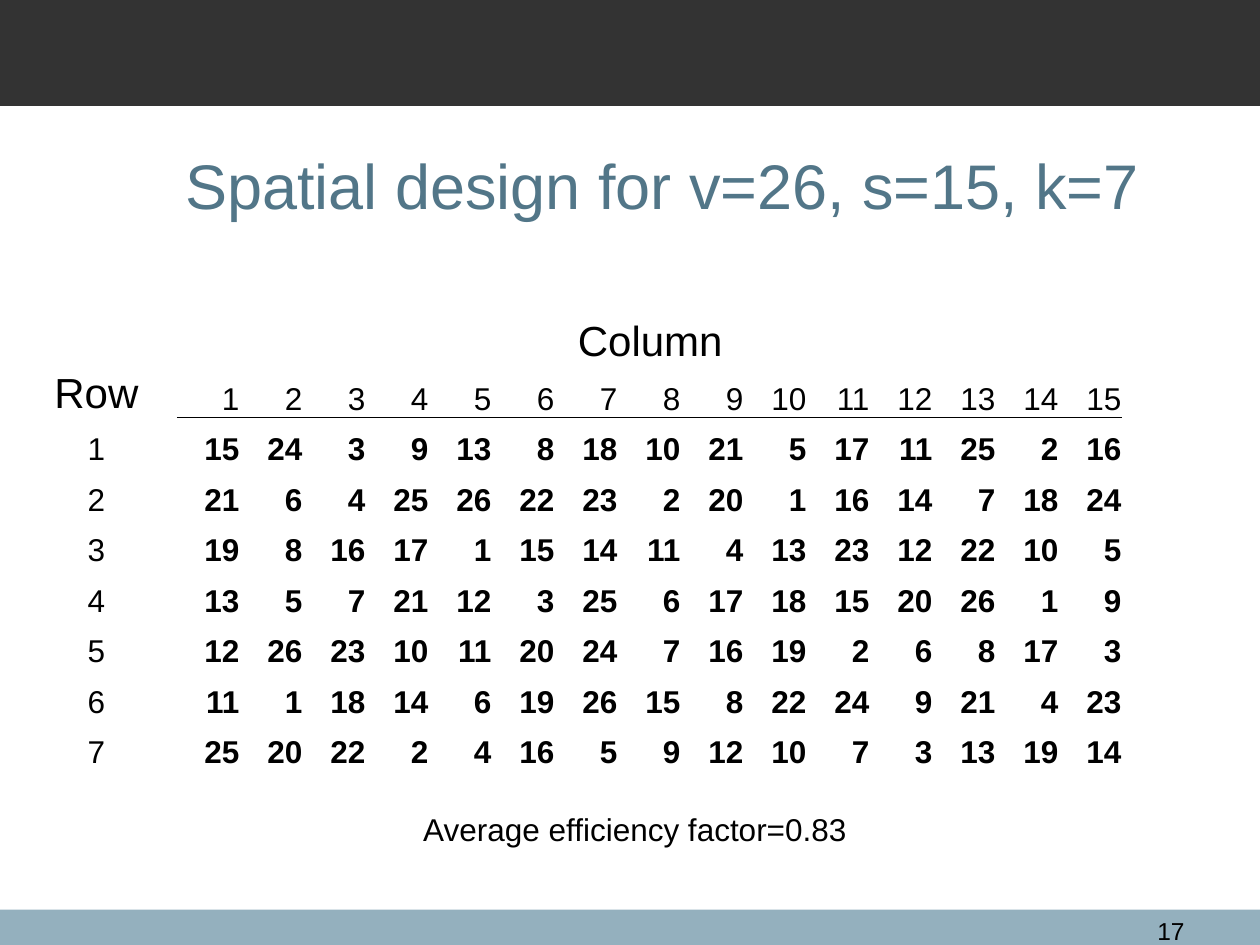
from dataclasses import dataclass

from lxml import etree
from pptx import Presentation
from pptx.dml.color import RGBColor
from pptx.enum.shapes import MSO_SHAPE
from pptx.enum.text import MSO_ANCHOR, PP_ALIGN
from pptx.oxml.ns import qn
from pptx.util import Inches, Pt

RECTANGLE = MSO_SHAPE.RECTANGLE
TOP, MIDDLE, BOTTOM = MSO_ANCHOR.TOP, MSO_ANCHOR.MIDDLE, MSO_ANCHOR.BOTTOM
LEFT, CENTER, RIGHT = PP_ALIGN.LEFT, PP_ALIGN.CENTER, PP_ALIGN.RIGHT

BLACK = RGBColor(0x00, 0x00, 0x00)
CHARCOAL = RGBColor(0x33, 0x33, 0x33)
MIST = RGBColor(0x94, 0xB0, 0xBE)
STEEL = RGBColor(0x52, 0x76, 0x88)

DESIGN = (
    (15, 24, 3, 9, 13, 8, 18, 10, 21, 5, 17, 11, 25, 2, 16),
    (21, 6, 4, 25, 26, 22, 23, 2, 20, 1, 16, 14, 7, 18, 24),
    (19, 8, 16, 17, 1, 15, 14, 11, 4, 13, 23, 12, 22, 10, 5),
    (13, 5, 7, 21, 12, 3, 25, 6, 17, 18, 15, 20, 26, 1, 9),
    (12, 26, 23, 10, 11, 20, 24, 7, 16, 19, 2, 6, 8, 17, 3),
    (11, 1, 18, 14, 6, 19, 26, 15, 8, 22, 24, 9, 21, 4, 23),
    (25, 20, 22, 2, 4, 16, 5, 9, 12, 10, 7, 3, 13, 19, 14),
)
COLUMN_COUNT = len(DESIGN[0])
COLUMN_WIDTHS = (1.29, *[0.5] * COLUMN_COUNT, 1.05)
ROW_HEIGHTS = (*[0.4] * (len(DESIGN) + 2), 0.44)
CELL_FORMAT = {
    "vertical_anchor": BOTTOM,
    "margin_left": Inches(0.01),
    "margin_right": Inches(0.01),
    "margin_top": Inches(0.01),
    "margin_bottom": Inches(0),
}


@dataclass(frozen=True)
class Band:
    top: float
    height: float
    color: RGBColor


@dataclass(frozen=True)
class Label:
    text: str
    left: float
    top: float
    width: float
    height: float
    size: int
    color: RGBColor = BLACK
    align: PP_ALIGN = LEFT
    anchor: MSO_ANCHOR = TOP
    inset: float = 0.1
    wrap: bool = True


BANDS = (Band(7.22, 0.28, MIST), Band(0, 0.84, CHARCOAL))
TITLE = Label("Spatial design for v=26, s=15, k=7", 0.12, 0.84, 9.69, 1.25, 36,
              color=STEEL, anchor=MIDDLE, inset=1.35)
PAGE_NUMBER = Label("17", 8.86, 7.22, 0.64, 0.24, 14, align=RIGHT)
EFFICIENCY = Label("Average efficiency factor=0.83", 3.26, 6.38, 3.59, 0.4, 18, wrap=False)


def apply_format(target, values: dict) -> None:
    for name, value in values.items():
        setattr(target, name, value)


def write_text(frame, text: str, size: int, color: RGBColor = BLACK,
               align: PP_ALIGN = LEFT, bold: bool = False) -> None:
    para = frame.paragraphs[0]
    para.alignment = align
    span = para.add_run()
    span.text = text
    apply_format(span.font, {"name": "Arial", "size": Pt(size), "bold": bold})
    span.font.color.rgb = color


def draw_band(page, band: Band) -> None:
    box = page.shapes.add_shape(RECTANGLE, Inches(0), Inches(band.top),
                                Inches(10), Inches(band.height))
    box.shadow.inherit = False
    box.fill.solid()
    box.fill.fore_color.rgb = band.color
    box.line.fill.background()


def draw_label(page, label: Label) -> None:
    box = page.shapes.add_textbox(Inches(label.left), Inches(label.top),
                                  Inches(label.width), Inches(label.height))
    apply_format(box.text_frame, {
        "word_wrap": label.wrap,
        "vertical_anchor": label.anchor,
        "margin_left": Inches(label.inset),
    })
    write_text(box.text_frame, label.text, label.size, label.color, label.align)


def fill_cell(cell, text: str, size: int = 18, align: PP_ALIGN = RIGHT,
              bold: bool = False) -> None:
    apply_format(cell, CELL_FORMAT)
    write_text(cell.text_frame, text, size, align=align, bold=bold)


def rule_cell(cell, edge: str) -> None:
    border = etree.Element(qn(f"a:{edge}"), w=str(int(Pt(0.5))))
    fill = etree.SubElement(border, qn("a:solidFill"))
    etree.SubElement(fill, qn("a:srgbClr"), val=str(BLACK))
    cell._tc.get_or_add_tcPr().insert(0, border)


def draw_design(page) -> None:
    frame = page.shapes.add_table(len(ROW_HEIGHTS), len(COLUMN_WIDTHS), Inches(0.12),
                                  Inches(2.49), Inches(9.88), Inches(4.04))
    table = frame.table
    apply_format(table, {"first_row": False, "horz_banding": False})
    for column, width in zip(table.columns, COLUMN_WIDTHS):
        column.width = Inches(width)
    for row, height in zip(table.rows, ROW_HEIGHTS):
        row.height = Inches(height)
    for cell in table.iter_cells():
        cell.fill.background()

    table.cell(0, 1).merge(table.cell(0, COLUMN_COUNT))
    fill_cell(table.cell(0, 1), "Column", 24, CENTER)
    fill_cell(table.cell(1, 0), "Row", 24, CENTER)
    for number in range(1, COLUMN_COUNT + 1):
        fill_cell(table.cell(1, number), str(number))
        rule_cell(table.cell(1, number), "lnB")
        rule_cell(table.cell(2, number), "lnT")
    for number, treatments in enumerate(DESIGN, start=1):
        fill_cell(table.cell(number + 1, 0), str(number), align=CENTER)
        for column, treatment in enumerate(treatments, start=1):
            fill_cell(table.cell(number + 1, column), str(treatment), bold=True)


def main() -> None:
    deck = Presentation()
    apply_format(deck, {"slide_width": Inches(10), "slide_height": Inches(7.5)})
    page = deck.slides.add_slide(deck.slide_layouts[6])
    for band in BANDS:
        draw_band(page, band)
    draw_label(page, TITLE)
    draw_label(page, PAGE_NUMBER)
    draw_design(page)
    draw_label(page, EFFICIENCY)
    deck.save("out.pptx")


if __name__ == "__main__":
    main()
